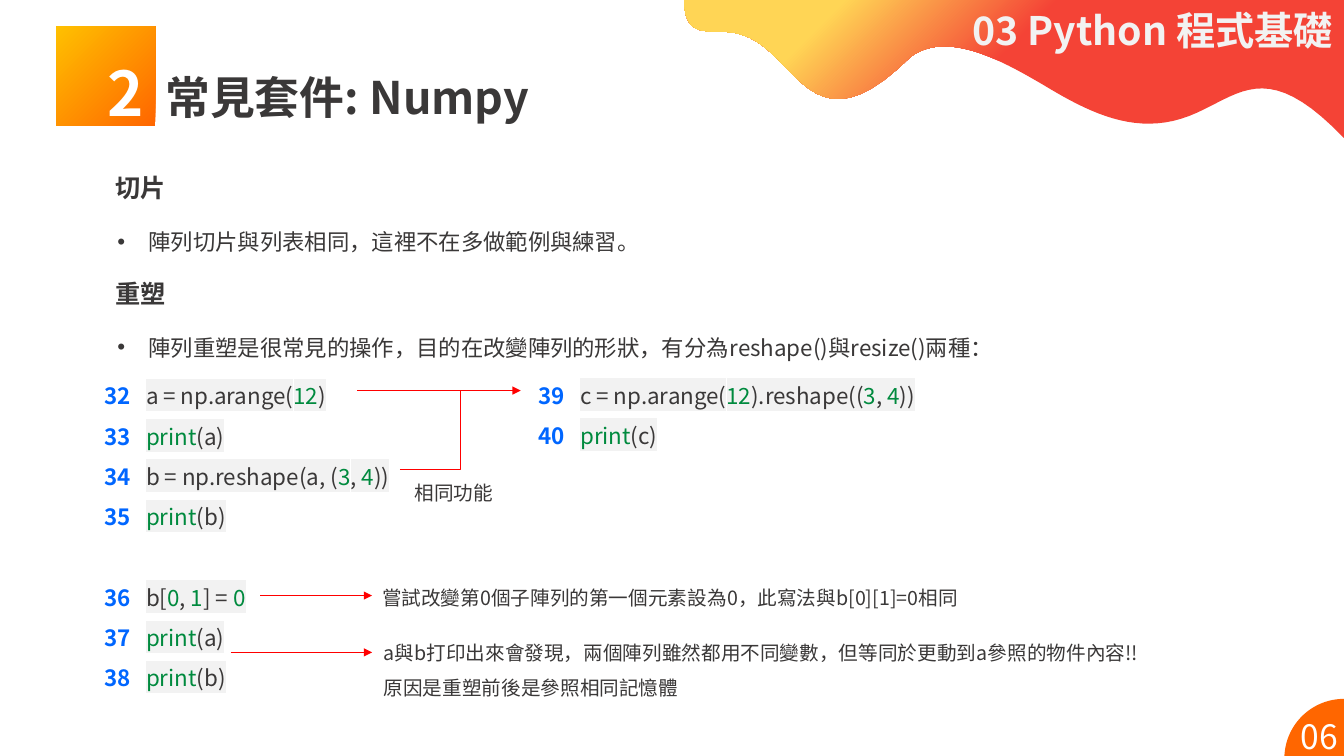
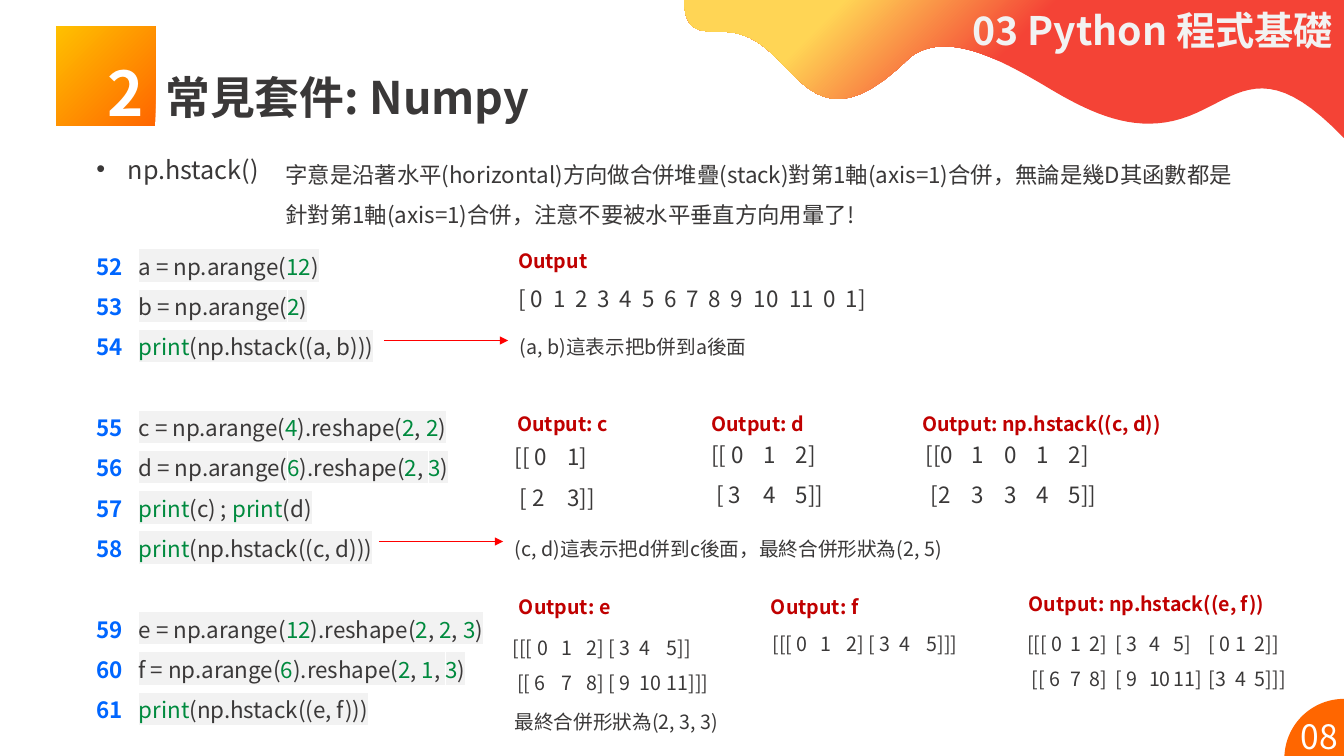
from itertools import count, groupby

from lxml.etree import SubElement
from pptx import Presentation
from pptx.dml.color import RGBColor
from pptx.enum.shapes import MSO_CONNECTOR, MSO_SHAPE
from pptx.enum.text import MSO_ANCHOR, PP_ALIGN
from pptx.oxml.ns import qn
from pptx.util import Inches, Pt

# Grid: 80 columns by 45 rows of square cells
COLS, ROWS = 80, 45
CELL = Inches(13.3334) // COLS
FONT = "Noto Sans CJK TC"
HUES = {
    "ink": "3A3838", "white": "FFFFFF", "pale": "F2F2F2", "blue": "0066FF",
    "green": "008A3E", "wine": "C00000", "red": "FF0000", "orange": "FF6600",
    "gold": "FFC000", "coral": "F44336", "sun": "FFD555",
}
# Wave outline: start, then cubic curves as (control, control, end)
START = (40.73, 0)
CURVES = [
    ((75.3, 3.3), (73.75, 5.75), (70.8, 6.9)),
    ((67.6, 8.15), (64.75, 6.65), (62.1, 5.05)),
    ((59.45, 3.5), (56.4, 1.85), (54.25, 3.35)),
    ((48.2, 9.35), (47.5, 3), (44.1, 2.05)),
    ((42.6, 1.55), (40.73, 2.65), START),
]


def emu(*cells):
    return [round(cell * CELL) for cell in cells]


def hue(name):
    return RGBColor.from_string(HUES[name])


# Text
def style(run, size, ink="ink", bold=False, mark=None):
    font = run.font
    font.size, font.bold, font.name = Pt(size), bold, FONT
    font.color.rgb = hue(ink)
    latin = run._r.rPr.find(qn("a:latin"))
    east = SubElement(run._r.rPr, qn("a:ea"), typeface=FONT)
    latin.addnext(east)
    if mark:
        light = SubElement(run._r.rPr, qn("a:highlight"))
        SubElement(light, qn("a:srgbClr"), val=HUES[mark])
        latin.addprevious(light)


def frame(slide, x, y, w, h):
    body = slide.shapes.add_textbox(*emu(x, y, w, h)).text_frame
    body.word_wrap = True
    return body


def text(slide, x, y, w, h, words, size=14, ink="ink", bold=False,
         align=PP_ALIGN.LEFT, lead=1.5):
    body = frame(slide, x, y, w, h)
    body.text = words
    for para in body.paragraphs:
        para.alignment, para.line_spacing = align, lead
        for run in para.runs:
            style(run, size, ink, bold)
    return body


def note(slide, x, y, w, words):
    text(slide, x, y, w, 2.5, words, align=PP_ALIGN.JUSTIFY)


def point(slide, x, y, w, words, size=16, lead=1.5):
    body = text(slide, x, y, w, 2.75, words, size, lead=lead)
    props = body.paragraphs[0]._p.get_or_add_pPr()
    props.set("marL", str(Inches(0.31)))
    props.set("indent", str(-Inches(0.31)))
    tint = SubElement(props, qn("a:buClr"))
    SubElement(tint, qn("a:srgbClr"), val=HUES["ink"])
    SubElement(props, qn("a:buFont"), typeface="Arial")
    SubElement(props, qn("a:buChar"), char="•")


def array(slide, x, y, w, rows, stops, size=16):
    """Rows of numbers; each | moves on to the next tab stop, in inches."""
    body = text(slide, x, y, w, 2.5 * len(rows),
                "\n".join(rows).replace("|", "\t"), size)
    for para in body.paragraphs:
        tabs = SubElement(para._p.get_or_add_pPr(), qn("a:tabLst"))
        for stop in stops:
            SubElement(tabs, qn("a:tab"), pos=str(Inches(stop)), algn="l")


# Code
def split(line):
    """Cut a line into (is green, text): numbers and print are green."""
    words = ["".join(part) for _, part in groupby(line, str.isalnum)]
    runs = groupby(words, lambda word: word == "print" or word.isdigit())
    return [(green, "".join(part)) for green, part in runs]


def code(slide, x, y, w, first, blocks):
    tall = 2.45 * sum(map(len, blocks))
    sides = frame(slide, x, y, 3.65, tall), frame(slide, x + 2.5, y, w, tall)
    label = count(first)
    for b, block in enumerate(blocks):
        for i, line in enumerate(block):
            top = b == i == 0
            left, right = [side.paragraphs[0] if top else side.add_paragraph()
                           for side in sides]
            for para in (left, right):
                para.line_spacing = 1.5
                if b and i == 0:
                    para.space_before = Pt(28.8)
            left.text = str(next(label))
            style(left.runs[0], 16, "blue", True)
            for green, part in split(line):
                run = right.add_run()
                run.text = part
                style(run, 16, "green" if green else "ink", mark="pale")


# Shapes and lines
def link(slide, x1, y1, x2, y2, kind=MSO_CONNECTOR.STRAIGHT, head=True):
    line = slide.shapes.add_connector(kind, *emu(x1, y1, x2, y2))
    line.line.color.rgb, line.line.width = hue("red"), Pt(0.75)
    props = line._element.spPr
    if head:
        SubElement(props.find(qn("a:ln")), qn("a:tailEnd"), type="triangle")
    SubElement(props, qn("a:effectLst"))


def plain(shape):
    shape.shadow.inherit = False
    shape.line.fill.background()


def blend(shape, stops):
    plain(shape)
    shape.fill.gradient()
    shape.fill.gradient_angle = 135
    steps = shape._element.spPr.find(qn("a:gradFill")).find(qn("a:gsLst"))
    for step in list(steps):
        steps.remove(step)
    for share, name in stops:
        step = SubElement(steps, qn("a:gs"), pos=str(share * 1000))
        SubElement(step, qn("a:srgbClr"), val=HUES[name])


def curve(a, b, c, d, parts=20):
    for i in range(1, parts + 1):
        t = i / parts
        s = 1 - t
        yield emu(*(s**3 * p + 3 * s * s * t * q + 3 * s * t * t * r + t**3 * u
                    for p, q, r, u in zip(a, b, c, d)))


def wave(slide):
    last = (COLS, 8.22)
    dots = [emu(COLS, 0), emu(*last)]
    for b, c, d in CURVES:
        dots += curve(last, b, c, d)
        last = d
    path = slide.shapes.build_freeform(*emu(*START), scale=1.0)
    path.add_line_segments(dots, close=True)
    blend(path.convert_to_shape(),
          [(0, "coral"), (53, "coral"), (80, "sun"), (100, "sun")])


# Parts that both slides share
def base(deck, page):
    slide = deck.slides.add_slide(deck.slide_layouts[6])
    badge = slide.shapes.add_shape(MSO_SHAPE.RECTANGLE,
                                   *emu(3.35, 1.6, 5.9, 5.9))
    blend(badge, [(0, "orange"), (100, "gold")])
    wave(slide)
    text(slide, 57.3, 0.05, 24.4, 3.4, "03 Python 程式基礎", 28, "pale", True,
         lead=1)
    for x, y, w, words, size, ink in (
            (9.25, 3.25, 39.3, "常見套件: Numpy", 32, "ink"),
            (5.8, 3.1, 3.35, "2", 44, "white")):
        body = text(slide, x, y, w, 5.35, words, size, ink, True, lead=0.9)
        body.vertical_anchor = MSO_ANCHOR.MIDDLE
    disc = slide.shapes.add_shape(MSO_SHAPE.PIE, *emu(76.45, 41.6, 7.1, 7.1))
    plain(disc)
    disc.adjustments[0], disc.adjustments[1] = 0, 54
    disc.rotation = 180
    disc.fill.solid()
    disc.fill.fore_color.rgb = hue("orange")
    text(slide, 76.75, 42.3, 3.55, 3, page, 24, "white",
         align=PP_ALIGN.CENTER, lead=1)
    return slide


# Slicing and reshaping
def shape_page(deck):
    slide = base(deck, "06")
    topics = [
        ("切片", "陣列切片與列表相同，這裡不在多做範例與練習。"),
        ("重塑", "陣列重塑是很常見的操作，目的在改變陣列的形狀，"
                 "有分為reshape()與resize()兩種："),
    ]
    for i, (name, words) in enumerate(topics):
        y = 9.95 + 6.3 * i
        text(slide, 6.3, y, 23.4, 2.4, name, 18, bold=True, lead=1)
        point(slide, 6.4, y + 2.53, 68.6, words)
    code(slide, 5.6, 21.68, 16.6, 32, [
        ["a = np.arange(12)", "print(a)", "b = np.reshape(a, (3, 4))",
         "print(b)"],
        ["b[0, 1] = 0", "print(a)", "print(b)"],
    ])
    code(slide, 31.45, 21.63, 25.2, 39,
         [["c = np.arange(12).reshape((3, 4))", "print(c)"]])
    link(slide, 23.8, 27.97, 31, 23.25, MSO_CONNECTOR.ELBOW)
    link(slide, 27.95, 23.25, 21.25, 23.25, head=False)
    link(slide, 15.5, 35.45, 22.15, 35.45)
    link(slide, 13.75, 38.83, 22.15, 38.83)
    note(slide, 24.1, 27.65, 6.7, "相同功能")
    note(slide, 22.15, 33.9, 39.6,
         "嘗試改變第0個子陣列的第一個元素設為0，此寫法與b[0][1]=0相同")
    note(slide, 22.25, 37.13, 49.7,
         "a與b打印出來會發現，兩個陣列雖然都用不同變數，"
         "但等同於更動到a參照的物件內容!!\n原因是重塑前後是參照相同記憶體")


# Stacking along axis 1
def stack_page(deck):
    slide = base(deck, "08")
    point(slide, 5.15, 8.88, 11, "np.hstack()", 18, lead=1)
    text(slide, 16.4, 8.5, 58, 5.15,
         "字意是沿著水平(horizontal)方向做合併堆疊(stack)對第1軸(axis=1)合併，"
         "無論是幾D其函數都是針對第1軸(axis=1)合併，注意不要被水平垂直方向用暈了!",
         16)
    code(slide, 5.17, 13.97, 25.4, 52, [
        ["a = np.arange(12)", "b = np.arange(2)", "print(np.hstack((a, b)))"],
        ["c = np.arange(4).reshape(2, 2)", "d = np.arange(6).reshape(2, 3)",
         "print(c) ; print(d)", "print(np.hstack((c, d)))"],
        ["e = np.arange(12).reshape(2, 2, 3)",
         "f = np.arange(6).reshape(2, 1, 3)", "print(np.hstack((e, f)))"],
    ])
    for x, y, words in (
            (30.25, 13.85, "Output"), (30.2, 23.5, "Output: c"),
            (41.75, 23.5, "Output: d"),
            (54.3, 23.5, "Output: np.hstack((c, d))"),
            (30.3, 34.4, "Output: e"), (45.3, 34.4, "Output: f"),
            (60.65, 34.25, "Output: np.hstack((e, f))")):
        text(slide, x, y, 19.3, 2.5, words, ink="wine", bold=True)

    even = [0.35 + 0.22 * i for i in range(9)]
    array(slide, 30.25, 15.85, 40.8, ["[ 0|1|2|3|4|5|6|7|8|9|10|11|0|1]"],
          even + [2.34, 2.69, 3.03, 3.25])
    array(slide, 30.05, 25.3, 8, ["[[ 0|1]", " [ 2|3]]"], [0.52])
    array(slide, 41.75, 25.17, 10, ["[[ 0|1|2]", " [ 3|4|5]]"], [0.52, 0.84])
    array(slide, 54.5, 25.17, 14, ["[[0|1|0|1|2]", " [2|3|3|4|5]]"],
          [0.46 + 0.32 * i for i in range(4)])
    trio = [0.48, 0.73, 1.26, 1.53]
    array(slide, 29.93, 36.83, 17.1,
          ["[[[ 0|1|2] [ 3|4|5]]", " [[ 6|7|8] [ 9|10|11]]]"], trio, 14)
    array(slide, 45.4, 36.65, 17.1, ["[[[ 0|1|2] [ 3|4|5]]]"], trio, 14)
    array(slide, 60.55, 36.6, 18.1,
          ["[[[ 0|1|2]|[ 3|4|5]|[ 0|1|2]]",
           " [[ 6|7|8]|[ 9|10|11]|[3|4|5]]]"],
          [0.43, 0.62, 0.88, 1.21, 1.45, 1.8, 2.07, 2.26], 14)

    link(slide, 22.85, 20.27, 30.25, 20.27)
    link(slide, 22.55, 32.23, 29.95, 32.23)
    note(slide, 30.35, 18.95, 15.9, "(a, b)這表示把b併到a後面")
    note(slide, 30.05, 30.95, 29.5,
         "(c, d)這表示把d併到c後面，最終合併形狀為(2, 5)")
    note(slide, 30.05, 41.27, 26.5, "最終合併形狀為(2, 3, 3)")


def main():
    deck = Presentation()
    deck.slide_width, deck.slide_height = emu(COLS, ROWS)
    shape_page(deck)
    stack_page(deck)
    deck.save("out.pptx")


if __name__ == "__main__":
    main()
